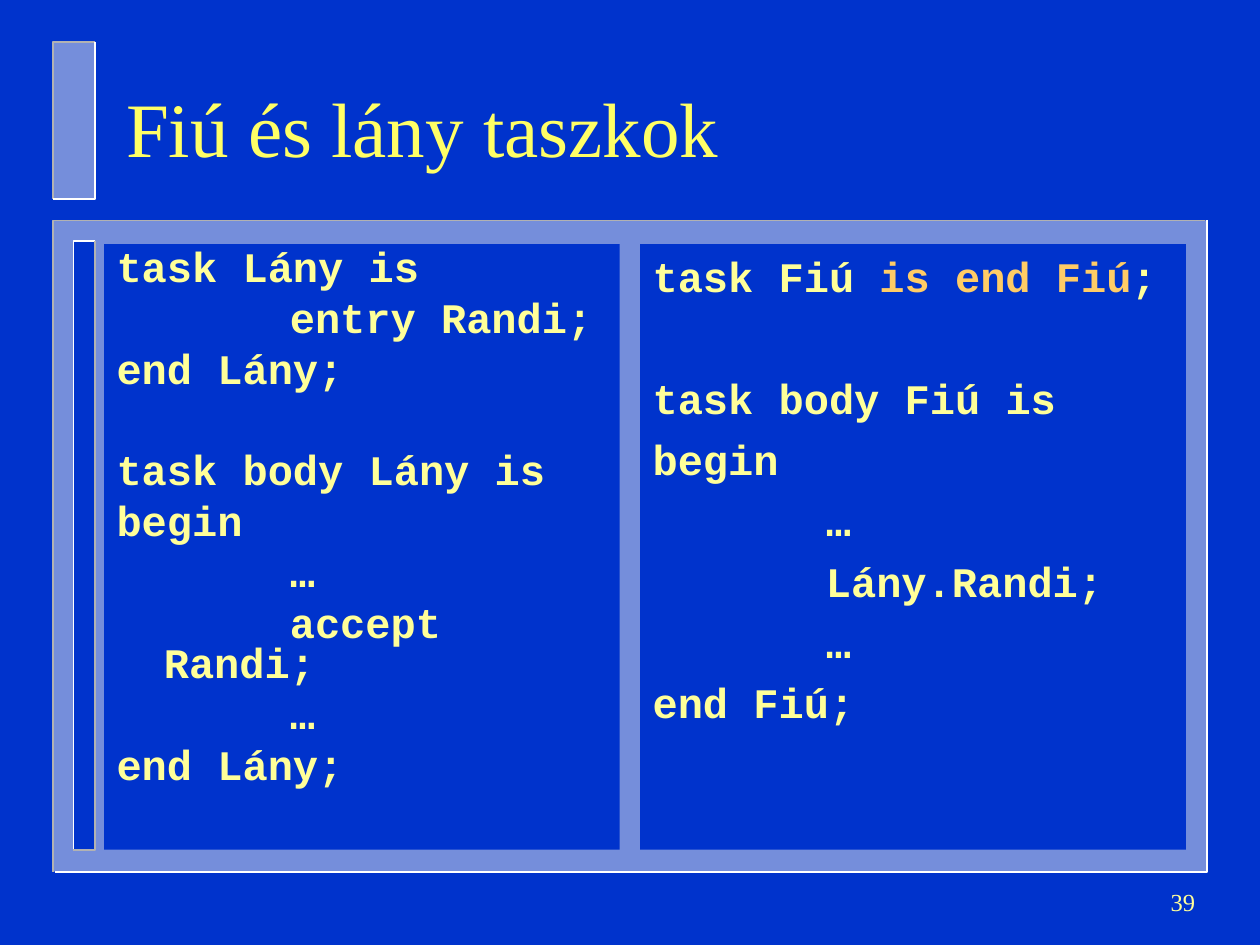
from lxml.etree import SubElement
from pptx import Presentation
from pptx.dml.color import RGBColor
from pptx.enum.shapes import MSO_SHAPE
from pptx.enum.text import MSO_ANCHOR, PP_ALIGN
from pptx.oxml.ns import qn
from pptx.util import Pt

COLORS = {
    "background": "0033CC",
    "panel": "EAEAEA",
    "shade": "B2B2B2",
    "light": "FFFFFF",
    "title": "FFFF66",
    "code": "FFFF99",
    "accent": "FFCC66",
}


def rgb(name):
    return RGBColor.from_string(COLORS[name])


def write(frame, text, font="Times New Roman", size=24, color="code", bold=False,
          align=PP_ALIGN.LEFT, anchor=MSO_ANCHOR.TOP, line_spacing=None,
          space=0, gap=0, indent=0, tab_step=0, accent=None):
    """Write one paragraph per line; an empty line becomes the wider space `gap`."""
    frame.word_wrap = True
    frame.vertical_anchor = anchor
    frame.margin_left = frame.margin_right = Pt(7.2)
    frame.margin_top = frame.margin_bottom = Pt(3.6)
    paragraph, before = frame.paragraphs[0], 0
    for line in text.split("\n"):
        if not line:
            before = gap
            continue
        if paragraph.runs:
            paragraph = frame.add_paragraph()
        paragraph.alignment = align
        paragraph.line_spacing = line_spacing
        paragraph.space_before = Pt(before)
        before = space
        properties = paragraph._p.get_or_add_pPr()
        properties.set("marL", str(Pt(indent)))
        properties.set("indent", str(-Pt(indent)))
        if tab_step:
            properties.set("defTabSz", str(Pt(tab_step)))
            stops = SubElement(properties, qn("a:tabLst"))
            for i in range(8):
                SubElement(stops, qn("a:tab"), pos=str(Pt(tab_step * i)), algn="l")
        head, found, tail = line.partition(accent) if accent else (line, "", "")
        for part, part_color in ((head, color), (found, "accent"), (tail, color)):
            if part:
                run = paragraph.add_run()
                run.text = part
                run.font.name, run.font.size, run.font.bold = font, Pt(size), bold
                run.font.color.rgb = rgb(part_color)


deck = Presentation()
deck.slide_width, deck.slide_height = Pt(720), Pt(540)
slide = deck.slides.add_slide(deck.slide_layouts[6])
slide.background.fill.solid()
slide.background.fill.fore_color.rgb = rgb("background")
shapes = slide.shapes

# Bevelled panels: box, fill, opacity, top-left edge, bottom-right edge, edge offset
panels = [
    ((31, 126, 658.1, 372.2), "panel", 50, "shade", "light", 0.7),   # content frame
    ((42, 137.6, 12.2, 348.2), "background", 100, "light", "shade", 0),  # slot
    ((30.2, 23.8, 24, 90), "panel", 50, "shade", "light", 0),        # title marker
]
for (left, top, width, height), fill, opacity, upper_edge, lower_edge, offset in panels:
    panel = shapes.add_shape(MSO_SHAPE.RECTANGLE, Pt(left), Pt(top), Pt(width), Pt(height))
    panel.shadow.inherit = False
    panel.line.fill.background()
    panel.fill.solid()
    panel.fill.fore_color.rgb = rgb(fill)
    if opacity < 100:
        tint = panel._element.spPr.find(qn("a:solidFill"))[0]
        SubElement(tint, qn("a:alpha"), val=str(opacity * 1000))

    right, bottom = left + width, top + height
    for corner, edge_color, shift in (((left, top), upper_edge, -offset),
                                      ((right, bottom), lower_edge, offset)):
        start, *rest = [(Pt(x + shift), Pt(y))
                        for x, y in ((right, top), corner, (left, bottom))]
        builder = shapes.build_freeform(*start, scale=1.0)
        builder.add_line_segments(rest, close=False)
        edge = builder.convert_to_shape()
        edge.shadow.inherit = False
        edge.fill.background()
        edge.line.color.rgb = rgb(edge_color)
        edge.line.width = Pt(1)

# Task code, side by side
girl_code = """task Lány is
\t\tentry Randi;
end Lány;

task body Lány is
begin
\t\t…
\t\taccept Randi;
\t\t…
end Lány;"""
boy_code = """task Fiú is end Fiú;

task body Fiú is
begin
\t\t…
\t\tLány.Randi;
\t\t…
end Fiú;"""
columns = [
    (59.5, 294.6, girl_code, 0.8, 35, None),
    (365.8, 311.9, boy_code, 1.0, 41, "is end Fiú"),
]
for left, width, code, line_spacing, gap, accent in columns:
    column = shapes.add_shape(MSO_SHAPE.RECTANGLE, Pt(left), Pt(139.5), Pt(width), Pt(346))
    column.shadow.inherit = False
    column.line.fill.background()
    column.fill.solid()
    column.fill.fore_color.rgb = rgb("background")
    write(column.text_frame, code, font="Courier New", bold=True,
          line_spacing=line_spacing, space=6, gap=gap, indent=27, tab_step=72, accent=accent)

# Title
title = shapes.add_textbox(Pt(65), Pt(37.5), Pt(578), Pt(70))
write(title.text_frame, "Fiú és lány taszkok", size=44, color="title",
      anchor=MSO_ANCHOR.MIDDLE)

# Page number
page_number = shapes.add_textbox(Pt(540), Pt(497.5), Pt(150), Pt(36))
write(page_number.text_frame, "39", size=14, align=PP_ALIGN.RIGHT, anchor=MSO_ANCHOR.MIDDLE)

deck.save("out.pptx")
